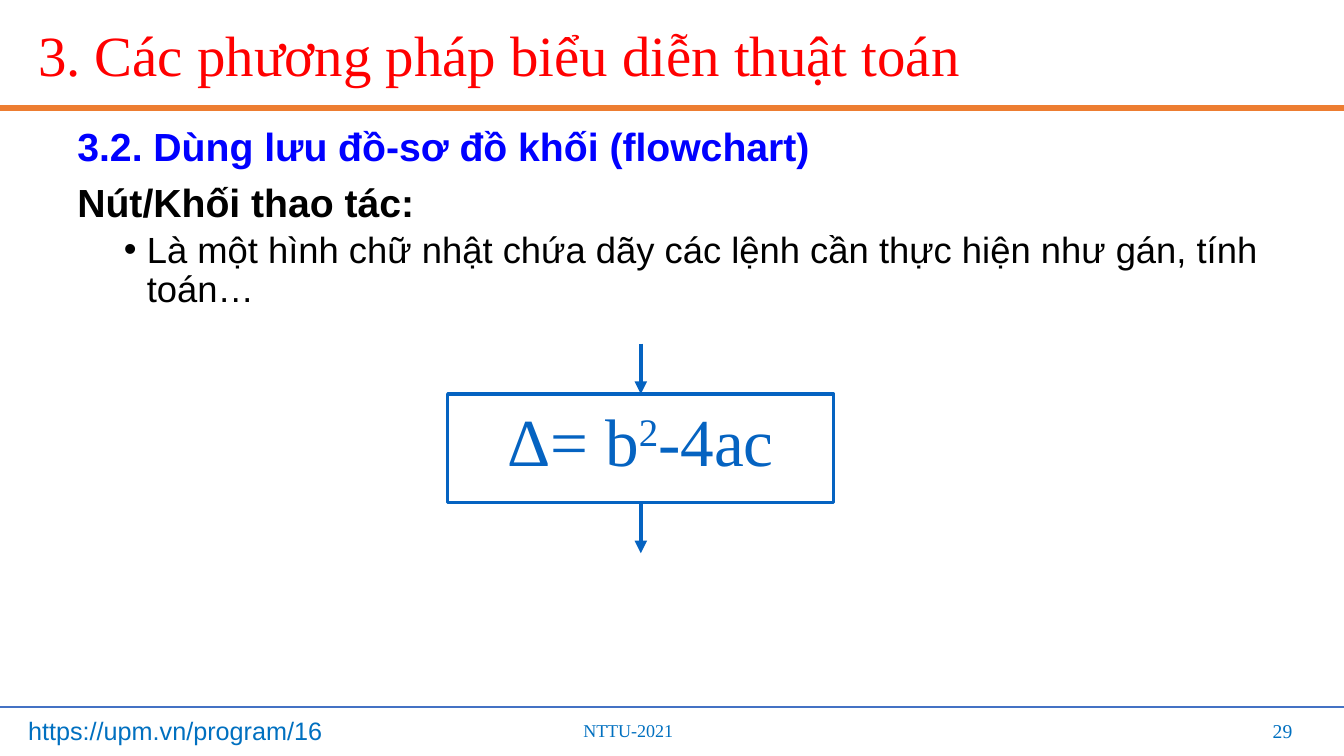
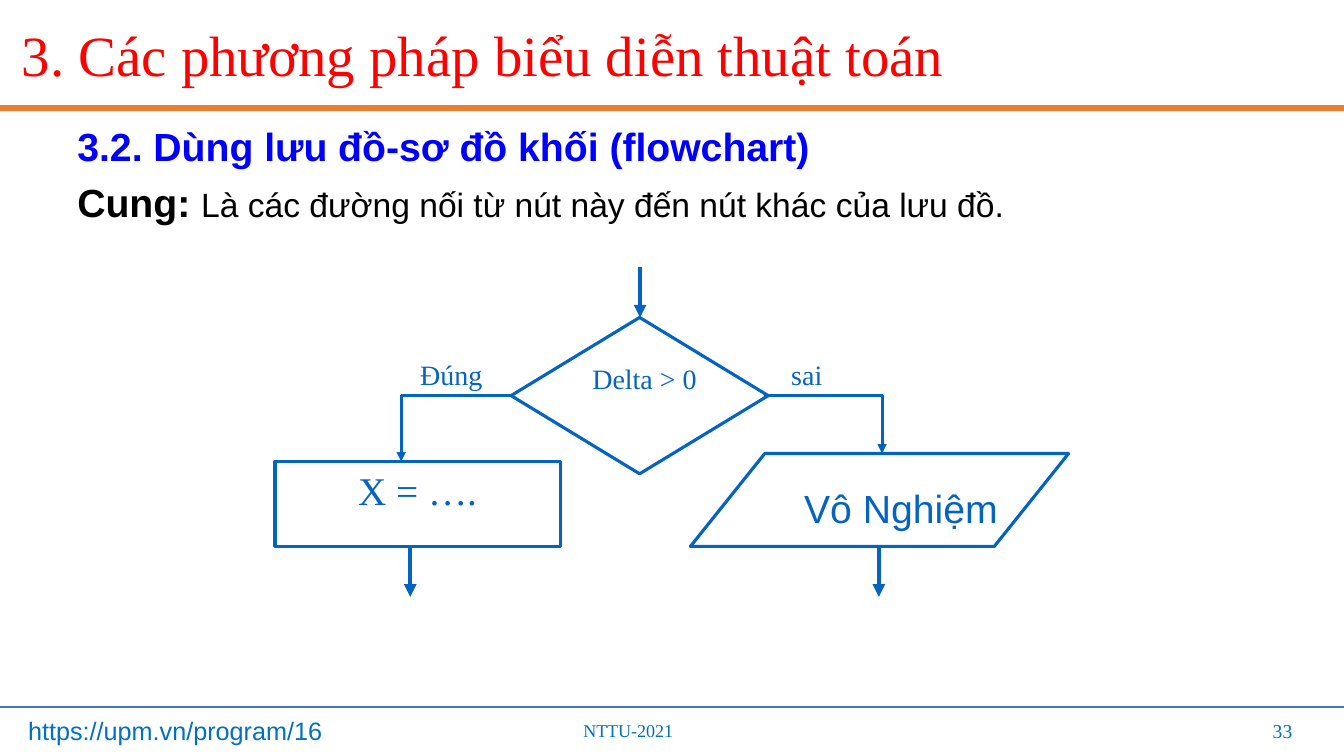
from pptx import Presentation
from pptx.dml.color import RGBColor
from pptx.enum.shapes import MSO_CONNECTOR, MSO_SHAPE
from pptx.enum.text import MSO_ANCHOR, MSO_AUTO_SIZE, PP_ALIGN
from pptx.oxml.ns import qn
from pptx.util import Cm, Pt
from lxml.etree import SubElement

SLIDE_WIDTH, SLIDE_HEIGHT = 33.87, 19.05
RED, ORANGE, RULE_BLUE = "FF0000", "ED7D31", "4472C4"
FOOTER_BLUE, NODE_BLUE, HEADING_BLUE = "0070C0", "0563C1", "0000FF"
BLACK, WHITE = "000000", "FFFFFF"
SERIF, SANS = "Times New Roman", "Arial"
ARROW_LENGTH = 1.27
BRANCH_Y = 9.96

TITLE = "3. Các phương pháp biểu diễn thuật toán"
SECTION = "3.2. Dùng lưu đồ-sơ đồ khối (flowchart)"
HEADING_FONT = {"name": SANS, "size": 28, "bold": True, "color": BLACK}
SECTION_FONT = {**HEADING_FONT, "color": HEADING_BLUE}
BODY_FORMAT = {"line_spacing": 0.9, "space_before": Pt(9.2)}
SECTION_FORMAT = {"line_spacing": 0.9, "alignment": PP_ALIGN.JUSTIFY}


def rgb(value):
    return RGBColor.from_string(value)


def node_font(size, name=SERIF):
    return {"name": name, "size": size, "color": NODE_BLUE}


def add_span(para, text, name, size, color, bold=False, baseline=None):
    span = para.add_run()
    span.text = text
    for key, value in {"name": name, "size": Pt(size), "bold": bold}.items():
        setattr(span.font, key, value)
    span.font.color.rgb = rgb(color)
    if baseline:
        span.font._element.set("baseline", str(baseline))


def set_indent(para, left, first, bullet=None):
    """Indent a paragraph by lengths in cm, with an optional bullet sign."""
    properties = para._p.get_or_add_pPr()
    properties.set("marL", str(Cm(left)))
    properties.set("indent", str(Cm(first)))
    if bullet:
        SubElement(properties, qn("a:buFont"), typeface=SANS)
        SubElement(properties, qn("a:buChar"), char=bullet)


def fill_text(frame, paragraphs, anchor=MSO_ANCHOR.TOP):
    """Write (spans, format, indent) paragraphs; a span is (text, font)."""
    frame.word_wrap = True
    frame.auto_size = MSO_AUTO_SIZE.NONE
    frame.vertical_anchor = anchor
    for index, (spans, formats, indent) in enumerate(paragraphs):
        para = frame.add_paragraph() if index else frame.paragraphs[0]
        if indent:
            set_indent(para, *indent)
        for key, value in formats.items():
            setattr(para, key, value)
        for text, font in spans:
            add_span(para, text, **font)


def one_line(text, font, alignment=PP_ALIGN.LEFT):
    return [([(text, font)], {"alignment": alignment}, None)]


def add_text(page, area, paragraphs, anchor=MSO_ANCHOR.TOP):
    box = page.shapes.add_textbox(*map(Cm, area))
    fill_text(box.text_frame, paragraphs, anchor)


def style_line(shape, color, width, arrow=False):
    shape.line.color.rgb = rgb(color)
    shape.line.width = Pt(width)
    if arrow:
        SubElement(shape.line._get_or_add_ln(), qn("a:tailEnd"), type="triangle")


def add_line(page, start, end, color, width, arrow=False):
    line = page.shapes.add_connector(
        MSO_CONNECTOR.STRAIGHT, *map(Cm, (*start, *end)))
    style_line(line, color, width, arrow)
    SubElement(line._element.spPr, qn("a:effectLst"))


def add_down_arrow(page, x, top):
    add_line(page, (x, top), (x, top + ARROW_LENGTH), NODE_BLUE, 3, arrow=True)


def add_branch(page, start_x, end_x, end_y):
    """Run sideways from the decision, then down to a node."""
    builder = page.shapes.build_freeform(Cm(start_x), Cm(BRANCH_Y))
    corners = [(end_x, BRANCH_Y), (end_x, end_y)]
    builder.add_line_segments([(Cm(x), Cm(y)) for x, y in corners], close=False)
    branch = builder.convert_to_shape()
    branch.shadow.inherit = False
    branch.fill.background()
    style_line(branch, NODE_BLUE, 2.25, arrow=True)


def add_node(page, kind, area, spans=()):
    node = page.shapes.add_shape(kind, *map(Cm, area))
    node.shadow.inherit = False
    node.fill.solid()
    node.fill.fore_color.rgb = rgb(WHITE)
    style_line(node, NODE_BLUE, 2.25)
    if spans:
        fill_text(node.text_frame, [(spans, {"alignment": PP_ALIGN.CENTER}, None)])
    return node


def add_page(deck, number, title_left, body):
    page = deck.slides.add_slide(deck.slide_layouts[5])
    for y, color, width in ((2.72, ORANGE, 4.5), (17.81, RULE_BLUE, 1.5)):
        add_line(page, (0, y), (SLIDE_WIDTH, y), color, width)

    title = page.shapes.title
    title.left, title.top = Cm(title_left), Cm(0.08)
    title.width, title.height = Cm(SLIDE_WIDTH - title_left), Cm(2.79)
    title_font = {"name": SERIF, "size": 40.6, "color": RED}
    title_format = {"alignment": PP_ALIGN.LEFT, "line_spacing": 0.9}
    fill_text(title.text_frame, [([(TITLE, title_font)], title_format, None)],
              MSO_ANCHOR.MIDDLE)

    section = ([(SECTION, SECTION_FONT)], SECTION_FORMAT, None)
    add_text(page, (1.7, 3.1, 30.5, 14.7), [section, *body])

    footer_font = {"name": SERIF, "color": FOOTER_BLUE}
    add_text(page, (14.45, 18.01, 4.52, 0.81),
             one_line("NTTU-2021", {**footer_font, "size": 12.9}))
    add_text(page, (0.46, 17.91, 8.71, 1.02),
             one_line("https://upm.vn/program/16",
                      {**footer_font, "name": SANS, "size": 18}))
    add_text(page, (25.2, 17.91, 7.62, 1.02),
             one_line(str(number), {**footer_font, "size": 14}, PP_ALIGN.RIGHT),
             MSO_ANCHOR.MIDDLE)
    return page


def build_operation_page(deck):
    text = "Là một hình chữ nhật chứa dãy các lệnh cần thực hiện như gán, tính toán…"
    bullet_font = {"name": SANS, "size": 26, "color": BLACK}
    body = [
        ([("Nút/Khối thao tác:", HEADING_FONT)], BODY_FORMAT, (0.58, -0.58)),
        ([(text, bullet_font)],
         {**BODY_FORMAT, "level": 1, "space_before": Pt(4.6)},
         (1.75, -0.58, "•")),
    ]
    page = add_page(deck, 29, 0.71, body)
    font = node_font(48)
    top, height = 9.93, 2.74
    add_node(page, MSO_SHAPE.RECTANGLE, (11.28, top, 9.73, height),
             [("Δ= b", font), ("2", {**font, "baseline": 30000}), ("-4ac", font)])
    for arrow_top in (top - ARROW_LENGTH, top + height):
        add_down_arrow(page, 16.15, arrow_top)


def build_arc_page(deck):
    text = "Là các đường nối từ nút này đến nút khác của lưu đồ."
    text_font = {"name": SANS, "size": 24, "color": BLACK}
    body = [([("Cung: ", HEADING_FONT), (text, text_font)],
             BODY_FORMAT, (1.47, -1.47))]
    page = add_page(deck, 33, 0.3, body)

    decision = add_node(page, MSO_SHAPE.DIAMOND, (12.88, 8, 6.48, 3.94),
                        [("Delta > 0", node_font(20))])
    decision.text_frame.margin_left = Cm(0.25)
    decision.text_frame.margin_right = 0
    add_node(page, MSO_SHAPE.RECTANGLE, (6.93, 11.63, 7.19, 2.14),
             [("X = ….", node_font(28))])
    result = add_node(page, MSO_SHAPE.PARALLELOGRAM, (17.4, 11.43, 9.53, 2.34))
    result.adjustments[0] = 0.8
    result.fill.background()
    add_text(page, (19.43, 12.07, 6.55, 1.45),
             one_line("Vô Nghiệm", node_font(28, SANS), PP_ALIGN.CENTER))

    for label, left in (("Đúng", 10.34), ("sai", 19.69)):
        add_text(page, (left, 8.89, 2.34, 1.19), one_line(label, node_font(20)))
    for x, top in ((16.13, 8 - ARROW_LENGTH), (10.34, 13.77), (22.15, 13.77)):
        add_down_arrow(page, x, top)
    add_branch(page, 12.88, 10.11, 11.63)
    add_branch(page, 19.25, 22.23, 11.43)


def main():
    deck = Presentation()
    deck.slide_width, deck.slide_height = Cm(SLIDE_WIDTH), Cm(SLIDE_HEIGHT)
    build_operation_page(deck)
    build_arc_page(deck)
    deck.save("out.pptx")


if __name__ == "__main__":
    main()
